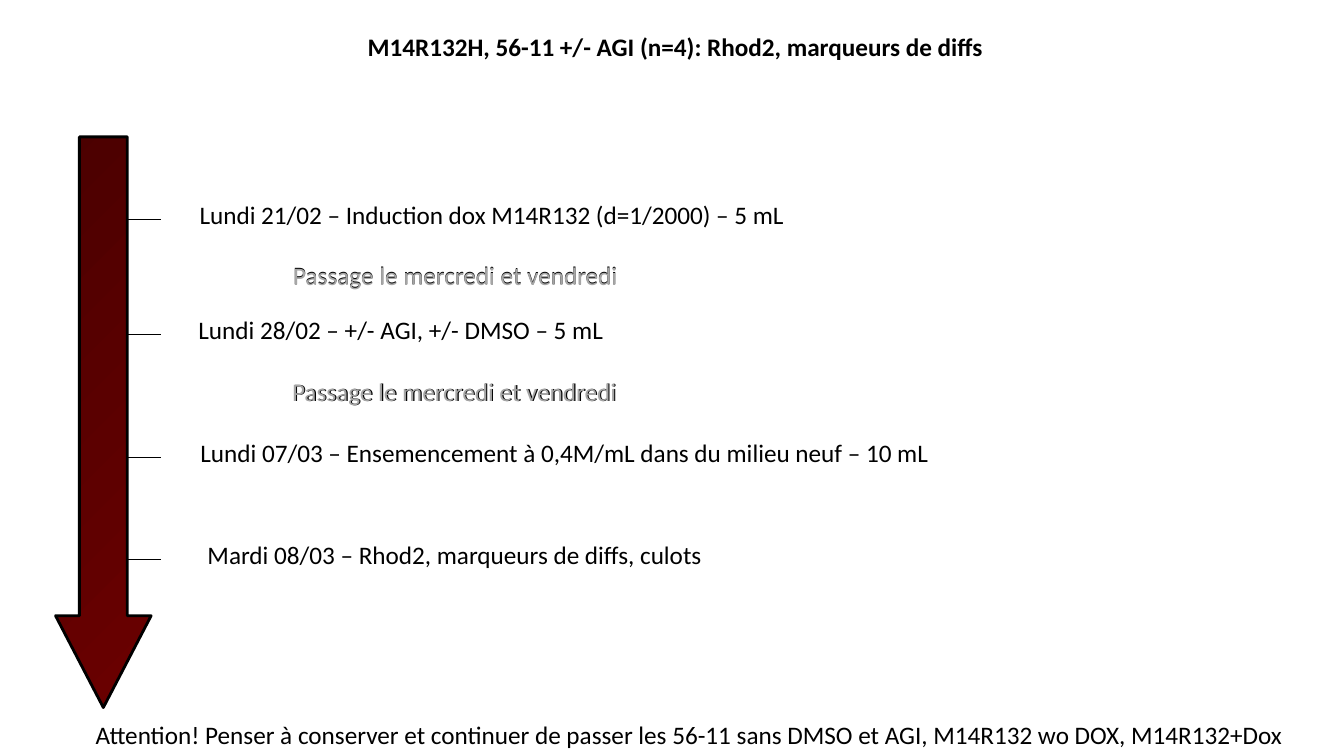
import pptx
import pptx.dml.color
import pptx.enum.shapes
import pptx.enum.text
import pptx.oxml.ns
import pptx.util
from lxml import etree

Cm, Pt = pptx.util.Cm, pptx.util.Pt
COLORS = {"black": "000000", "grey": "A6A6A6", "dark_red": "4B0000", "red": "6B0000"}
LINE_HEIGHT = 1.02
STEPS = [
    (2.09, 3.38, 15.24, "Lundi 21/02 – Induction dox M14R132 (d=1/2000) – 5 mL"),
    (4.98, 3.35, 10.72, "Lundi 28/02 – +/- AGI, +/- DMSO – 5 mL"),
    (8.08, 3.4, 18.87, "Lundi 07/03 – Ensemencement à 0,4M/mL dans du milieu neuf – 10 mL"),
    (10.65, 3.58, 12.98, "Mardi 08/03 – Rhod2, marqueurs de diffs, culots"),
]
PASSAGES = [
    ("black", 5.74, 2.95),
    ("black", 5.74, 5.92),
    ("grey", 5.74, 2.98),
    ("grey", 5.71, 5.92),
]


def rgb(color):
    """Return the named colour."""
    return pptx.dml.color.RGBColor.from_string(COLORS[color])


def format_text(frame, text, color="black", bold=False):
    """Put one formatted line of text into a text frame."""
    frame.text = text
    frame.vertical_anchor = pptx.enum.text.MSO_ANCHOR.TOP
    font = frame.paragraphs[0].font
    font.name, font.size, font.bold = "Calibri", Pt(18), bold
    font.color.rgb = rgb(color)


def add_title(slide, left, top, width, height):
    """Fill the title placeholder within the given box."""
    title = slide.shapes.title
    title.left, title.top, title.width, title.height = map(Cm, (left, top, width, height))
    title.text_frame.auto_size = pptx.enum.text.MSO_AUTO_SIZE.NONE
    format_text(title.text_frame, "M14R132H, 56-11 +/- AGI (n=4): Rhod2, marqueurs de diffs", bold=True)
    title.text_frame.paragraphs[0].alignment = pptx.enum.text.PP_ALIGN.CENTER


def add_label(slide, left, top, width, text, color="black"):
    """Add a single line of text that does not wrap."""
    label = slide.shapes.add_textbox(Cm(left), Cm(top), Cm(width), Cm(LINE_HEIGHT))
    label.text_frame.word_wrap = False
    format_text(label.text_frame, text, color)


def add_time_arrow(slide, left, top, width, height):
    """Draw the downward time arrow in the given box."""
    arrow = slide.shapes.add_shape(
        pptx.enum.shapes.MSO_SHAPE.DOWN_ARROW, Cm(left), Cm(top), Cm(width), Cm(height))
    arrow.adjustments[0], arrow.adjustments[1] = 0.5, 0.96
    arrow.shadow.inherit = False
    arrow.fill.gradient()
    arrow.fill.gradient_angle = 315
    for stop, color in zip(arrow.fill.gradient_stops, ("dark_red", "red")):
        stop.color.rgb = rgb(color)
    arrow.line.color.rgb = rgb("black")
    arrow.line.width = Pt(2)


def add_tick(slide, left, y, length):
    """Draw a horizontal tick beside the time arrow."""
    tick = slide.shapes.add_connector(
        pptx.enum.shapes.MSO_CONNECTOR.STRAIGHT, Cm(left), Cm(y), Cm(left + length), Cm(y))
    tick.line.color.rgb = rgb("black")
    tick.line.width = Pt(0.75)
    etree.SubElement(tick._element.spPr, pptx.oxml.ns.qn("a:effectLst"))


def add_timeline(slide, left, top, width, height):
    """Place the arrow, dated steps and passages relative to the box."""
    add_time_arrow(slide, left, top, width, height)
    for y, indent, length, step in STEPS:
        add_tick(slide, left + width * 0.75, top + y, 0.84)
        add_label(slide, left + indent, top + y - 0.64, length, step)
    for color, indent, y in PASSAGES:
        add_label(slide, left + indent, top + y, 8.69, "Passage le mercredi et vendredi", color)


def build():
    """Build and save the protocol slide."""
    deck = pptx.Presentation()
    deck.slide_width, deck.slide_height = Cm(33.87), Cm(19.05)
    slide = deck.slides.add_slide(deck.slide_layouts[5])
    add_title(slide, 1.4, 0.66, 31.24, LINE_HEIGHT)
    add_timeline(slide, 1.4, 3.45, 2.41, 14.38)
    add_label(slide, 2.16, 18.01, 30.45,
              "Attention! Penser à conserver et continuer de passer les 56-11 sans DMSO et AGI, "
              "M14R132 wo DOX, M14R132+Dox")
    deck.save("out.pptx")


build()
